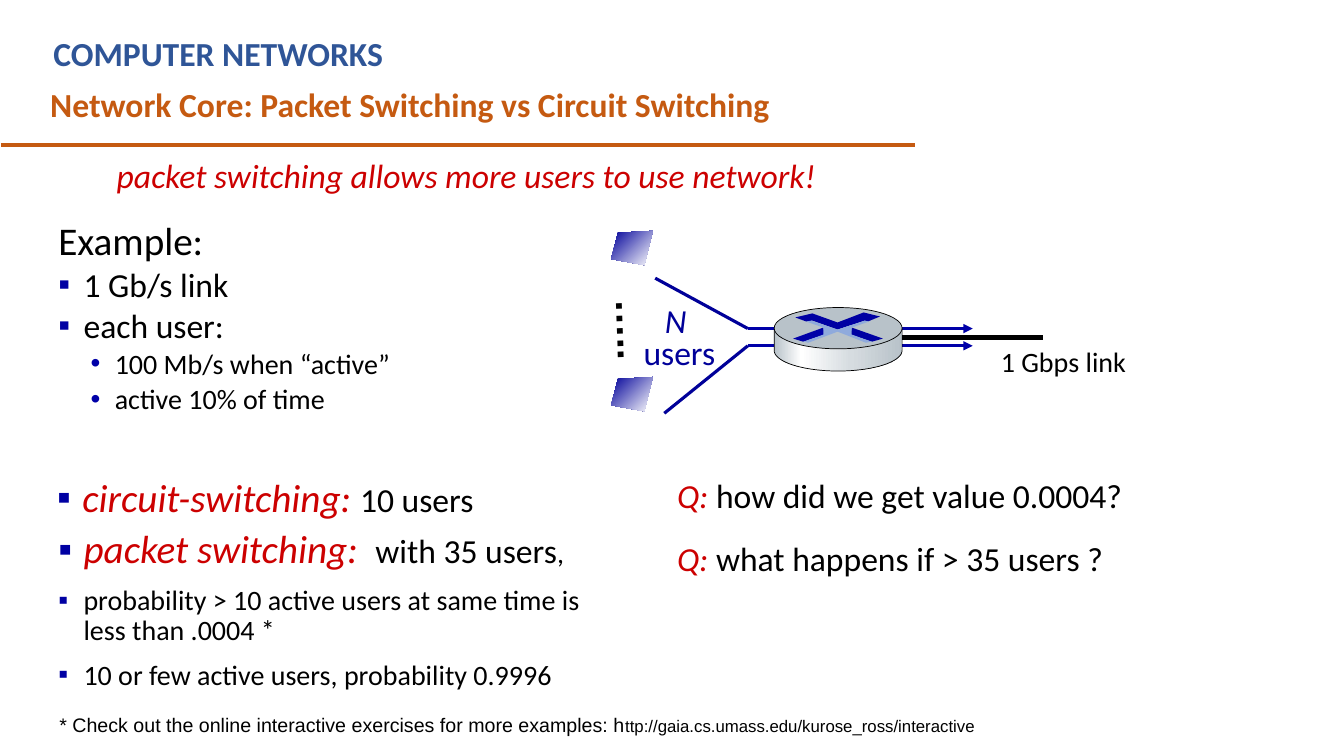
import math
import pptx
import pptx.dml.color
import pptx.enum.shapes
import pptx.enum.text
import pptx.oxml.ns
import pptx.util
from lxml import etree

Pt = pptx.util.Pt
qn = pptx.oxml.ns.qn
SHAPE = pptx.enum.shapes.MSO_SHAPE
STRAIGHT = pptx.enum.shapes.MSO_CONNECTOR.STRAIGHT
CENTER = pptx.enum.text.PP_ALIGN.CENTER

RED, BLACK, NAVY, BLUE = "CC0000", "000000", "000099", "0000A8"
SQUARE = dict(bullet="▪", bullet_color="0000A3", left=18, hang=18)
DOT = dict(bullet="•", bullet_color=BLUE, left=40.3, hang=17.3)


def rgb(value):
    return pptx.dml.color.RGBColor.from_string(value)


def sub(parent, tag, **attrs):
    """Append a child element with the given attributes."""
    child = etree.SubElement(parent, qn(tag))
    for name, value in attrs.items():
        child.set(name, str(value))
    return child


def run(text, size, color=BLACK, **fmt):
    return text, color, dict(size=Pt(size), name="Calibri") | fmt


def para(*runs, bullet=None, bullet_color=None, left=0, hang=0, **fmt):
    return runs, bullet, bullet_color, left, hang, fmt


class Canvas:
    def __init__(self, slide):
        self.s = slide

    def text(self, x, y, w, h, *paras, wrap=True, rotation=0):
        sp = self.s.shapes.add_textbox(Pt(x), Pt(y), Pt(w), Pt(h))
        sp.rotation = rotation
        tf = sp.text_frame
        tf.word_wrap = wrap
        for i, (runs, bullet, bullet_color, left, hang, fmt) in enumerate(paras):
            p = tf.add_paragraph() if i else tf.paragraphs[0]
            for name, value in fmt.items():
                if i or name != "space_before":
                    setattr(p, name, value)
            if bullet:
                pPr = p._p.get_or_add_pPr()
                pPr.set("marL", str(Pt(left)))
                pPr.set("indent", str(-Pt(hang)))
                sub(sub(pPr, "a:buClr"), "a:srgbClr", val=bullet_color)
                sub(pPr, "a:buFont", typeface="Arial")
                sub(pPr, "a:buChar", char=bullet)
            for words, color, font in runs:
                r = p.add_run()
                r.text = words
                r.font.color.rgb = rgb(color)
                for name, value in font.items():
                    setattr(r.font, name, value)

    def line(self, x1, y1, x2, y2, color, width, arrow=False):
        sp = self.s.shapes.add_connector(STRAIGHT, Pt(x1), Pt(y1), Pt(x2), Pt(y2))
        sp.line.color.rgb = rgb(color)
        sp.line.width = Pt(width)
        if arrow:
            sub(sp.line._get_or_add_ln(), "a:tailEnd", type="triangle")
        sub(sp._element.spPr, "a:effectLst")

    def paint(self, sp, fill, outline=None, angle=0):
        """Fill with one colour, or with a gradient given as (percent, colour) stops."""
        sp.shadow.inherit = False
        if isinstance(fill, str):
            sp.fill.solid()
            sp.fill.fore_color.rgb = rgb(fill)
        else:
            sp.fill.gradient()
            sp.fill.gradient_angle = -angle % 360
            stops = sp._element.spPr.find(qn("a:gradFill")).find(qn("a:gsLst"))
            for stop in list(stops):
                stops.remove(stop)
            for percent, color in fill:
                sub(sub(stops, "a:gs", pos=percent * 1000), "a:srgbClr", val=color)
        if outline:
            sp.line.color.rgb = rgb(outline)
            sp.line.width = Pt(0.5)
        else:
            sp.line.fill.background()

    def ellipse(self, x, y, w, h, fill, outline):
        sp = self.s.shapes.add_shape(SHAPE.OVAL, Pt(x), Pt(y), Pt(w), Pt(h))
        self.paint(sp, fill, outline)

    def polygon(self, points, fill, outline=None, angle=0):
        points = [(Pt(x), Pt(y)) for x, y in points]
        builder = self.s.shapes.build_freeform(*points[0], scale=1)
        builder.add_line_segments(points[1:], close=True)
        self.paint(builder.convert_to_shape(), fill, outline, angle)


def draw_router(c):
    cx, top_y, base_y, rx, ry = 598.7, 234.4, 250.3, 45.7, 14.75
    arc = [math.radians(a) for a in range(0, 181, 5)]
    side = [(cx + rx * math.cos(a), base_y + ry * math.sin(a)) for a in arc]
    metal = [(0, "B8C2C9"), (21, "FFFFFF"), (60, "D6DCE0"), (100, "B8C2C9")]
    c.polygon([(cx + rx, top_y), *side, (cx - rx, top_y)], metal, BLACK)
    c.ellipse(cx - rx, top_y - ry, 2 * rx, 2 * ry, "B8C2C9", BLACK)
    arrows = [(617, 223.2), (628.6, 226.1), (619.9, 229.7), (617.8, 229), (598.3, 235.4),
              (580.3, 229), (576, 229.7), (568.1, 226.8), (580.3, 223.9), (598.3, 230.4)]
    right_foot = [(608.4, 234), (630.7, 241.9), (622.8, 244.1), (607.7, 239)]
    left_foot = [(588.2, 234), (589, 239), (573.8, 244.1), (566.6, 241.9)]
    middle = [(576, 229.7), (579.6, 229), (598.3, 235.4), (617.8, 229), (620.6, 229.7),
              (608.4, 234), (608.4, 239), (622.8, 244.1), (618.5, 244.8), (598.3, 236.9),
              (577.4, 244.8), (573.8, 244.1), (588.2, 239), (588.2, 234)]
    for points, color in ((arrows, "0000A3"), (right_foot, "0000A3"),
                          (left_foot, BLUE), (middle, "8FAADC")):
        c.polygon(points, color)


def draw_network(c):
    c.line(468, 198.7, 534.2, 234.7, NAVY, 2.25)
    for y in (234.7, 247):
        c.line(534.2, y, 694.8, y, BLUE, 2.25, arrow=True)
    c.line(474.5, 295.2, 534.2, 247, NAVY, 2.25)
    centred = dict(alignment=CENTER, line_spacing=0.8)
    c.text(452.2, 216, 66.2, 54.7, para(run("N ", 24, NAVY, italic=True), **centred),
           para(run("users", 24, NAVY), **centred), wrap=False)
    c.text(707.8, 242.6, 105.1, 31.7, para(run("1 Gbps link", 20)), wrap=False)
    c.line(634.3, 241.2, 745.2, 241.2, BLACK, 3.5)
    c.text(422.6, 215.3, 58.3, 41, para(run("…..", 28, name="Arial", bold=True)),
           wrap=False, rotation=87.9)
    screen = [(29.9, 0), (4.9, 1.4), (0, 20.2), (23.8, 24.5)]
    for y in (164.9, 269.3):
        c.polygon([(436.5 + dx, y + dy) for dx, dy in screen],
                  [(0, NAVY), (100, "FFFFFF")], angle=45)
    draw_router(c)


def main():
    prs = pptx.Presentation()
    prs.slide_width, prs.slide_height = Pt(960), Pt(540)
    c = Canvas(prs.slides.add_slide(prs.slide_layouts[6]))

    c.line(0.7, 103.7, 653.8, 103.7, "C55A11", 3)
    c.text(31, 20.2, 590, 36, para(run("COMPUTER NETWORKS", 24, "2F5597", bold=True)))
    c.text(28.8, 56.2, 630, 36, para(run(
        "Network Core: Packet Switching vs Circuit Switching", 24, "C55A11", bold=True)))
    c.text(76.3, 110.2, 565, 48, para(run(
        "packet switching allows more users to use network!", 24, RED, italic=True),
        line_spacing=0.9))

    tight = dict(line_spacing=0.8, space_before=Pt(6))
    c.text(34.6, 157.7, 300, 152.6,
           para(run("Example:", 28), **tight),
           para(run("1 Gb/s link", 24), **SQUARE, **tight),
           para(run("each user:", 24), **SQUARE, **tight),
           para(run("100 Mb/s when “active”", 20), **DOT, **tight),
           para(run("active 10% of time", 20), **DOT, **tight))
    draw_network(c)

    loose = dict(line_spacing=0.9, space_before=Pt(10)) | SQUARE
    c.text(33.8, 338, 389, 40, para(run("circuit-switching: ", 28, RED, italic=True),
                                    run("10 users", 24), **loose))
    c.text(34.6, 375, 388, 135,
           para(run("packet switching:  ", 28, RED, italic=True),
                run("with 35 users", 24), run(",", 20), **loose),
           para(run("probability > 10 active users at same time is less than .0004 *", 20),
                **loose),
           para(run("10 or few active users, probability 0.9996", 20), **loose))
    for y, w, question in ((335.5, 334.8, " how did we get value 0.0004?"),
                           (380.9, 321.1, " what happens if > 35 users ?")):
        c.text(476.6, y, w, 36.7, para(run("Q:", 24, RED, italic=True), run(question, 24)),
               wrap=False)
    c.text(35.3, 505.4, 720, 24.5, para(
        run("* Check out the online interactive exercises for more examples: h", 14,
            name="Arial"),
        run("ttp://gaia.cs.umass.edu/kurose_ross/interactive", 12, name="Arial")))
    prs.save("out.pptx")


if __name__ == "__main__":
    main()
